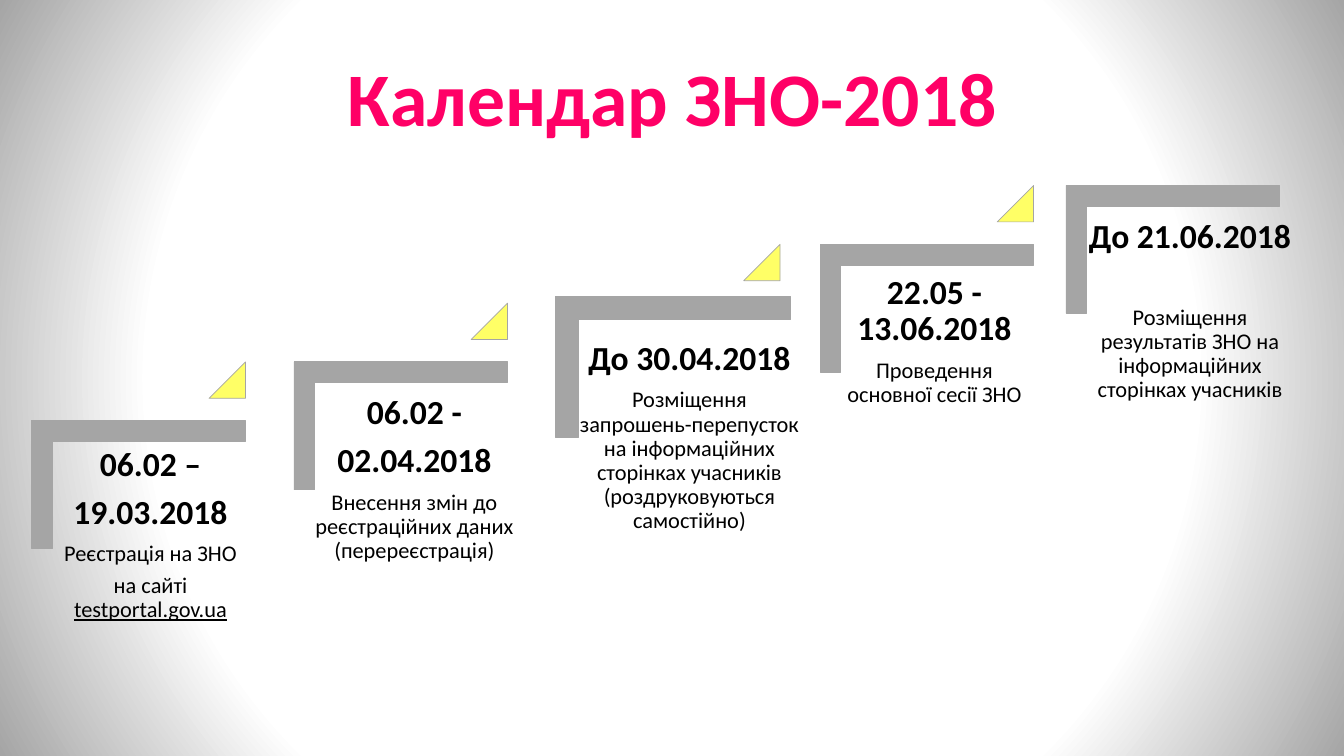
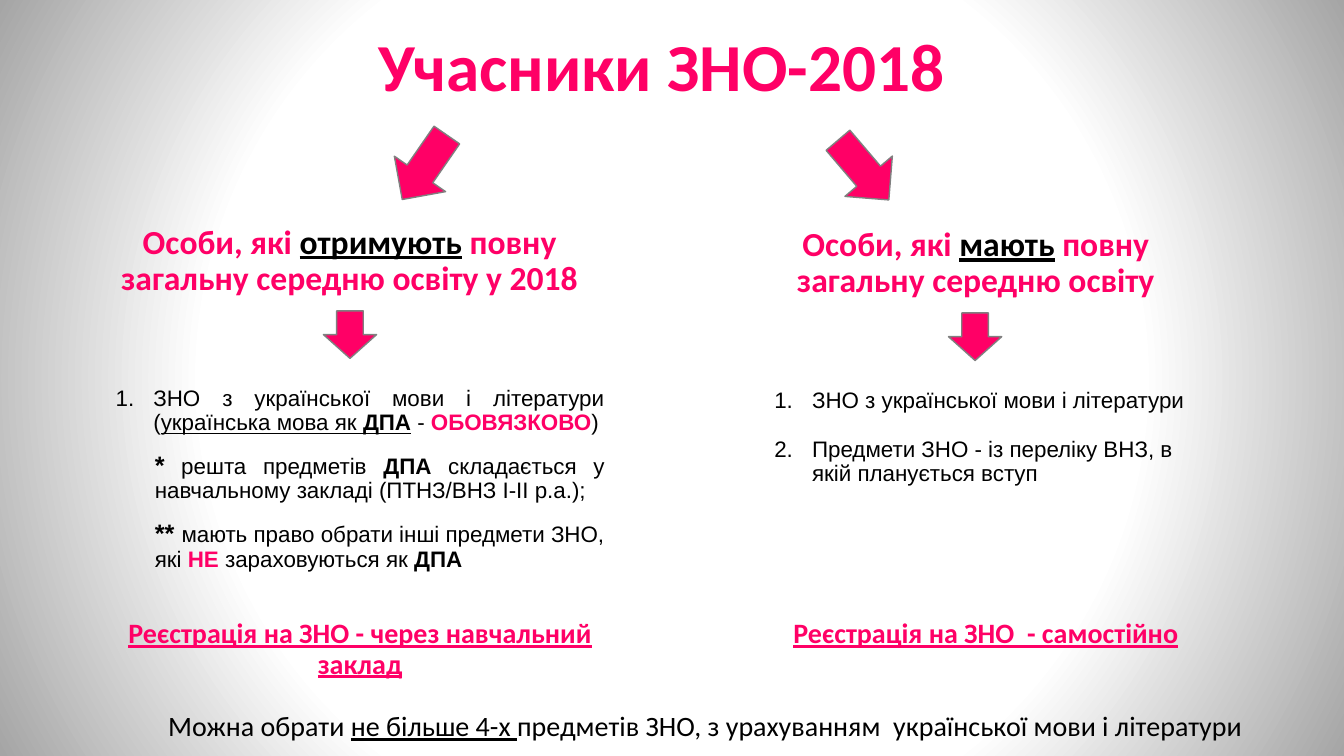
from lxml import etree
from pptx import Presentation
from pptx.dml.color import RGBColor
from pptx.enum.shapes import MSO_SHAPE
from pptx.enum.text import MSO_ANCHOR, PP_ALIGN
from pptx.oxml.ns import qn
from pptx.util import Pt

CORNER = MSO_SHAPE.CORNER
TRIANGLE = MSO_SHAPE.ISOSCELES_TRIANGLE
DOWN_ARROW = MSO_SHAPE.DOWN_ARROW
TOP = MSO_ANCHOR.TOP
LEFT, CENTER, JUSTIFY = PP_ALIGN.LEFT, PP_ALIGN.CENTER, PP_ALIGN.JUSTIFY

PINK = RGBColor(0xFF, 0x00, 0x66)
BLACK = RGBColor(0x00, 0x00, 0x00)
WHITE = RGBColor(0xFF, 0xFF, 0xFF)
GRAY = RGBColor(0xA5, 0xA5, 0xA5)
DARK_GRAY = RGBColor(0x80, 0x80, 0x80)
YELLOW = RGBColor(0xFF, 0xFF, 0x66)

HEADING = dict(size=24, color=PINK, bold=True)
LIST_ITEM = dict(size=16, font="Arial")
KEYWORD = dict(bold=True)
UNDERLINED = dict(underline=True)
WARNING = dict(color=PINK, bold=True)
STAR = dict(size=18, bold=True)


def add_span(para, text, size=16, color=BLACK, bold=False, underline=False,
             font="Calibri"):
    span = para.add_run()
    span.text = text
    span.font.name = font
    span.font.size = Pt(size)
    span.font.bold = bold
    span.font.underline = underline
    span.font.color.rgb = color


class Board:
    """Holds the deck, its style and the current page."""

    def __init__(self):
        self.deck = Presentation()
        self.deck.slide_width = Pt(960)
        self.deck.slide_height = Pt(540)
        self.page = None

    def new_page(self, white_until):
        """Add a page, white in the middle up to the given percentage."""
        self.page = self.deck.slides.add_slide(self.deck.slide_layouts[6])
        self.page.background.fill.gradient()
        gradient = self.page.element.find(".//" + qn("a:gradFill"))
        for child in list(gradient):
            gradient.remove(child)
        stops = etree.SubElement(gradient, qn("a:gsLst"))
        for percent, color in ((0, WHITE), (white_until, WHITE), (100, GRAY)):
            stop = etree.SubElement(stops, qn("a:gs"), pos=str(percent * 1000))
            etree.SubElement(stop, qn("a:srgbClr"), val=str(color))
        circle = etree.SubElement(gradient, qn("a:path"))
        circle.set("path", "circle")
        etree.SubElement(circle, qn("a:fillToRect"),
                         dict.fromkeys("ltrb", "50000"))

    def box(self, left, top, width, height, inset=None):
        box = self.page.shapes.add_textbox(Pt(left), Pt(top), Pt(width), Pt(height))
        frame = box.text_frame
        frame.word_wrap = True
        frame.vertical_anchor = TOP
        if inset is not None:
            frame.margin_left = frame.margin_right = Pt(inset)
            frame.margin_top = frame.margin_bottom = Pt(inset)
        return box

    def para(self, box, *spans, align=CENTER, spacing=0.9, before=0, after=0,
             margin=0, indent=0, numbered=False, **style):
        """Add a paragraph; a span is a text or a (text, changed style) pair."""
        frame = box.text_frame
        para = frame.paragraphs[0]
        if para.runs:
            para = frame.add_paragraph()
        para.alignment = align
        para.line_spacing = spacing
        para.space_before = Pt(before)
        para.space_after = Pt(after)
        properties = para._p.get_or_add_pPr()
        properties.set("marL", str(Pt(margin)))
        properties.set("indent", str(Pt(indent)))
        if numbered:
            etree.SubElement(properties, qn("a:buAutoNum"), type="arabicPeriod")
        for span in spans:
            text, changes = (span, {}) if isinstance(span, str) else span
            add_span(para, text, **{**style, **changes})

    def title(self, text, left, top, width, height, size):
        self.para(self.box(left, top, width, height), text,
                  size=size, color=PINK, bold=True)

    def shape(self, kind, left, top, width, height, fill, line, line_width,
              rotation=0, adjustments=()):
        shape = self.page.shapes.add_shape(
            kind, Pt(left), Pt(top), Pt(width), Pt(height))
        shape.shadow.inherit = False
        shape.fill.solid()
        shape.fill.fore_color.rgb = fill
        shape.line.color.rgb = line
        shape.line.width = Pt(line_width)
        shape.rotation = rotation
        for index, value in enumerate(adjustments):
            shape.adjustments[index] = value

    def arrow(self, left, top, width, height, rotation=0):
        self.shape(DOWN_ARROW, left, top, width, height, PINK, DARK_GRAY, 1, rotation)

    def stair(self, left, top, scale=1):
        """Draw a step as a corner turned by 90 degrees, scaled about its centre."""
        center_x = left + STAIR_WIDTH / 2
        center_y = top + STAIR_HEIGHT / 2
        width, height = STAIR_HEIGHT * scale, STAIR_WIDTH * scale
        self.shape(CORNER, center_x - width / 2, center_y - height / 2, width, height,
                   GRAY, GRAY, 0.5, rotation=90, adjustments=(0.161, 0.161))

    def riser(self, right, top):
        self.shape(TRIANGLE, right - RISER, top, RISER, RISER,
                   YELLOW, GRAY, 0.5, adjustments=(1,))


STAIR_WIDTH, STAIR_HEIGHT = 152.6, 91.4
FIRST_STAIR_TOP, STAIR_RISE = 300.5, 42
RISER = 26
DATE_SHIFT = -11

# stair left, scale, text left, text width, text drop, date lines, gap, details
STEPS = [
    (22.7, 1, 21, 173, 12, [("06.02 –", -5), ("19.03.2018", DATE_SHIFT)], 8,
     [["Реєстрація на ЗНО"], ["на сайті ", ("testportal.gov.ua", UNDERLINED)]]),
    (209.9, 1, 211, 170, 17, [("06.02 -", 0), ("02.04.2018", DATE_SHIFT)], 8,
     [["Внесення змін до реєстраційних даних (перереєстрація)"]]),
    (404.6, 1.1, 404, 177, 20, [("До 30.04.2018", DATE_SHIFT)], 8,
     [["Розміщення запрошень-перепусток на інформаційних сторінках "
       "учасників (роздруковуються самостійно)"]]),
    (585.7, 1, 593, 149, 17, [("22.05 - 13.06.2018", 0)], 8,
     [["Проведення основної сесії ЗНО"]]),
    (761.4, 1, 769, 162, 17, [("До 21.06.2018", -3)], 36,
     [["Розміщення результатів ЗНО на інформаційних сторінках учасників"]]),
]


def draw_calendar(board):
    board.new_page(white_until=68)
    board.title("Календар ЗНО-2018", 83, 40, 795, 84, size=54)
    for number, step in enumerate(STEPS):
        left, scale, text_left, text_width, drop, dates, gap, details = step
        top = FIRST_STAIR_TOP - number * STAIR_RISE
        board.stair(left, top, scale)
        if number < len(STEPS) - 1:
            board.riser(left + STAIR_WIDTH, top - STAIR_RISE)
        inset = 5 if text_width < 150 else 7.2
        box = board.box(text_left, top + drop, text_width, 121, inset)
        for date, shift in dates:
            board.para(box, date, size=24, bold=True, after=gap, indent=shift)
        for detail in details:
            board.para(box, *detail, after=5.5)


def draw_participants(board):
    board.new_page(white_until=61)
    board.title("Учасники ЗНО-2018", 163, 20, 619, 104, size=48)
    board.arrow(281, 91.5, 44.5, 56, rotation=34.7)
    board.arrow(594.5, 93.5, 44.5, 56, rotation=-40.4)
    board.arrow(231, 222, 38, 34)
    board.arrow(677.5, 223.5, 38, 34)

    groups = [
        (75.5, 157.5, 348.5, "отримують", " повну загальну середню освіту у 2018"),
        (528.5, 159, 337, "мають", " повну загальну середню освіту"),
    ]
    for left, top, width, verb, ending in groups:
        board.para(board.box(left, top, width, 60), "Особи, які ",
                   (verb, dict(color=BLACK, underline=True)), ending, **HEADING)

    numbered = dict(margin=27, indent=-27, numbered=True, **LIST_ITEM)
    note = dict(align=JUSTIFY, margin=28, before=12, **LIST_ITEM)
    pupils = board.box(75.5, 273, 363.5, 184)
    board.para(pupils, "ЗНО з української мови і літератури (",
               ("українська мова як ", UNDERLINED),
               ("ДПА", dict(bold=True, underline=True)),
               " - ", ("ОБОВЯЗКОВО", WARNING), ")", align=JUSTIFY, **numbered)
    board.para(pupils, ("*", STAR), " решта предметів ", ("ДПА", KEYWORD),
               " складається у навчальному закладі (ПТНЗ/ВНЗ І-ІІ р.а.);", **note)
    board.para(pupils, ("** ", STAR), "мають право обрати інші предмети ЗНО, які ",
               ("НЕ", WARNING), " зараховуються як ", ("ДПА", KEYWORD), **note)

    graduates = board.box(546, 274.5, 316, 164)
    board.para(graduates, "ЗНО з української мови і літератури",
               align=LEFT, **numbered)
    board.para(graduates, "Предмети ЗНО - із переліку ВНЗ, в якій планується вступ",
               align=LEFT, before=17.6, **numbered)

    registrations = [
        (75.5, 363.5, "Реєстрація на ЗНО - через навчальний заклад"),
        (530, 348.5, "Реєстрація на ЗНО  - самостійно"),
    ]
    for left, width, text in registrations:
        board.para(board.box(left, 439, width, 60), text,
                   size=20, color=PINK, bold=True, underline=True)

    board.para(board.box(113, 502.5, 813, 31.5), "Можна обрати ",
               ("не більше 4-х ", UNDERLINED),
               "предметів ЗНО, з урахуванням  української мови і літератури",
               align=LEFT, spacing=1.0, size=20)


def main():
    board = Board()
    draw_calendar(board)
    draw_participants(board)
    board.deck.save("out.pptx")


if __name__ == "__main__":
    main()
